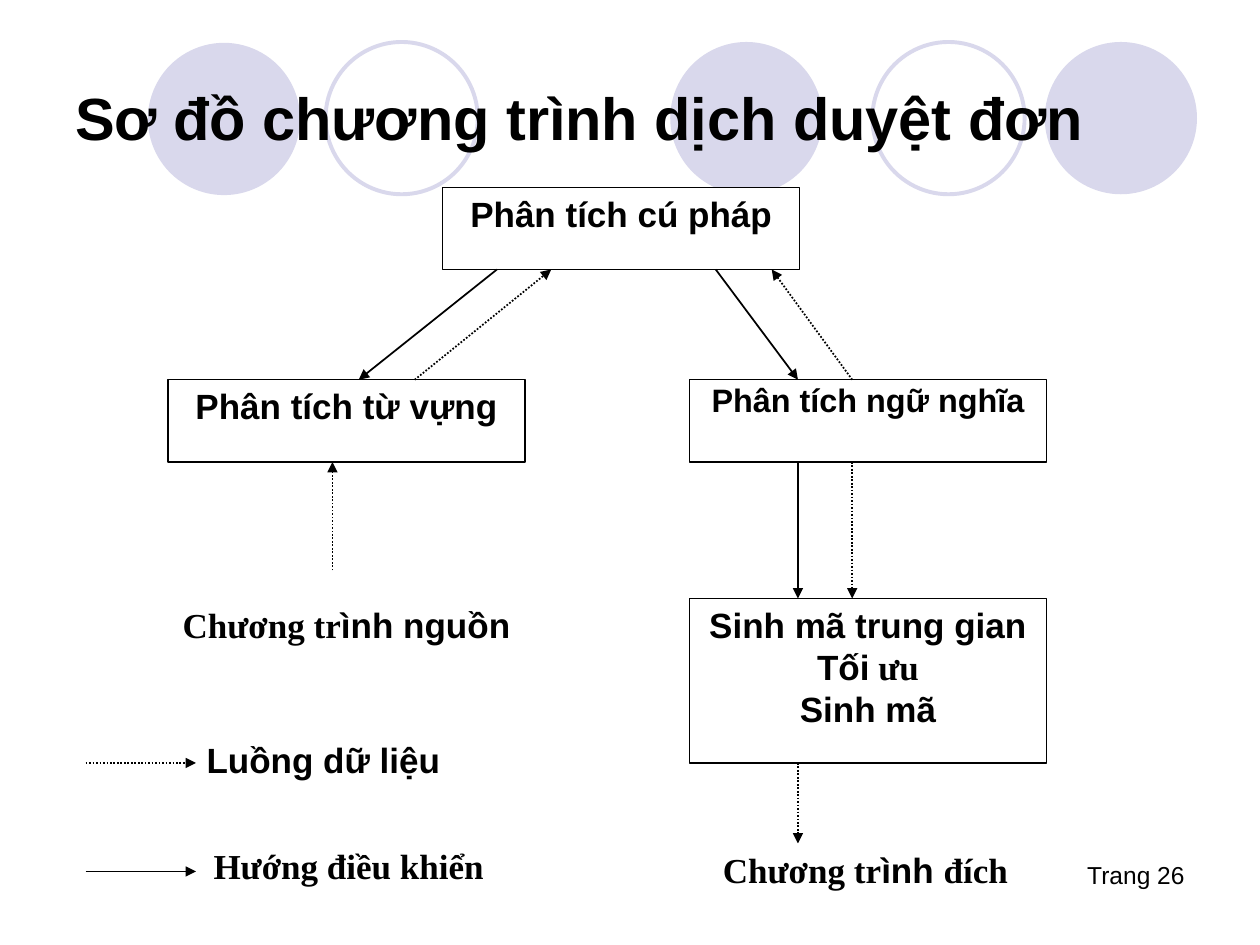
from pptx import Presentation
from pptx.dml.color import RGBColor
from pptx.enum.dml import MSO_LINE
from pptx.enum.shapes import MSO_CONNECTOR, MSO_SHAPE
from pptx.enum.text import MSO_ANCHOR, PP_ALIGN
from pptx.oxml.ns import qn
from pptx.util import Pt
from lxml.etree import SubElement

SANS, SERIF = "Arial", "Times New Roman"
INK, PAPER, LILAC = "000000", "FFFFFF", "D9D8EC"


def tint(code):
    return RGBColor.from_string(code)


def adjust(target, values):
    for name, value in values.items():
        setattr(target, name, value)


class Sheet:
    """Slide being drawn, with the style of its parts."""

    base = {"size": Pt(20), "bold": True}
    frame = {"word_wrap": True, "vertical_anchor": MSO_ANCHOR.TOP,
             "margin_left": Pt(6), "margin_right": Pt(6),
             "margin_top": Pt(3), "margin_bottom": Pt(3)}

    def __init__(self, slide):
        self.shapes = slide.shapes

    def paint(self, shape, fill, line, width):
        shape.shadow.inherit = False
        if fill:
            shape.fill.solid()
            shape.fill.fore_color.rgb = tint(fill)
        else:
            shape.fill.background()
        if line:
            shape.line.color.rgb = tint(line)
            shape.line.width = Pt(width)
        else:
            shape.line.fill.background()

    def letter(self, shape, lines, align, font=None, frame=None, space=None):
        """Fill a shape with lines, each a list of (text, face) runs."""
        text = shape.text_frame
        adjust(text, {**self.frame, **(frame or {})})
        for i, runs in enumerate(lines):
            para = text.add_paragraph() if i else text.paragraphs[0]
            adjust(para, {"alignment": align, "line_spacing": space})
            for words, face in runs:
                run = para.add_run()
                run.text = words
                adjust(run.font, {**self.base, "name": face, **(font or {})})
                run.font.color.rgb = tint(INK)

    def disc(self, x, y, solid):
        shape = self.shapes.add_shape(
            MSO_SHAPE.OVAL, Pt(x), Pt(y), Pt(87), Pt(87))
        self.paint(shape, LILAC if solid else None,
                   None if solid else LILAC, 2.25)

    def box(self, x, y, lines, high=47, line=INK,
            align=PP_ALIGN.CENTER, **style):
        shape = self.shapes.add_shape(
            MSO_SHAPE.RECTANGLE, Pt(x), Pt(y), Pt(204), Pt(high))
        self.paint(shape, PAPER, line, 0.75)
        self.letter(shape, lines, align, **style)

    def label(self, x, y, runs, align=PP_ALIGN.LEFT):
        self.box(x, y, [runs], line=None, align=align)

    def text(self, x, y, wide, high, words, align, font, frame):
        shape = self.shapes.add_textbox(Pt(x), Pt(y), Pt(wide), Pt(high))
        self.letter(shape, [[(words, SANS)]], align, font, frame)

    def arrow(self, start, end, dotted=False):
        link = self.shapes.add_connector(
            MSO_CONNECTOR.STRAIGHT, *map(Pt, start + end))
        link.line.color.rgb = tint(INK)
        link.line.width = Pt(1)
        if dotted:
            link.line.dash_style = MSO_LINE.ROUND_DOT
        SubElement(link.get_or_add_ln(), qn("a:tailEnd"), type="triangle")
        SubElement(link.element.spPr, qn("a:effectLst"))


def main():
    deck = Presentation()
    deck.slide_width, deck.slide_height = Pt(720), Pt(540)
    sheet = Sheet(deck.slides.add_slide(deck.slide_layouts[6]))

    for x, y, solid in [(383, 24, True), (597, 24, True), (84.5, 24.5, True),
                        (498.5, 24, False), (186, 24, False)]:
        sheet.disc(x, y, solid)

    wide = {"margin_left": Pt(7.2), "margin_right": Pt(7.2),
            "margin_top": Pt(3.6), "margin_bottom": Pt(3.6)}
    sheet.text(516, 488, 168, 36, "Trang 26", PP_ALIGN.RIGHT,
               {"size": Pt(14), "bold": False}, wide)

    left, right = 96, 394
    top, mid, low = 107, 217, 342
    roof, floor = top + 47, mid + 47
    sheet.box(253, top, [[("Phân tích cú pháp", SANS)]])
    sheet.box(left, mid, [[("Phân tích từ vựng", SANS)]])
    sheet.box(right, mid, [[("Phân tích ngữ nghĩa", SANS)]],
              font={"size": Pt(18.5)}, space=0.9)
    sheet.box(right, low, [[("Sinh mã trung gian", SANS)],
                           [("Tối", SANS), (" ưu", SERIF)],
                           [("Sinh mã", SANS)]], high=94)
    sheet.label(left, low, [("Chương tr", SERIF), ("ình nguồn", SANS)],
                PP_ALIGN.CENTER)

    for start, end in [((284, roof), (205, mid)), ((409, roof), (456, mid)),
                       ((456, floor), (456, low)), ((49, 498), (112, 498))]:
        sheet.arrow(start, end)
    for start, end in [((237, mid), (315, roof)), ((487, mid), (441, roof)),
                       ((190, 326), (190, floor)), ((456, 436), (456, 482)),
                       ((49, 436), (112, 436)), ((487, floor), (487, low))]:
        sheet.arrow(start, end, dotted=True)

    sheet.label(112, 419, [("Luồng dữ liệu", SANS)])
    sheet.label(116, 479.5, [("Hướng điều khiển", SERIF)])
    sheet.label(392.5, 482, [("Chương tr", SERIF), ("ình ", SANS),
                             ("đích", SERIF)], PP_ALIGN.CENTER)

    sheet.text(36, 21.5, 648, 90, "Sơ đồ chương trình dịch duyệt đơn",
               PP_ALIGN.LEFT, {"size": Pt(34)},
               {**wide, "vertical_anchor": MSO_ANCHOR.MIDDLE})
    deck.save("out.pptx")


if __name__ == "__main__":
    main()
